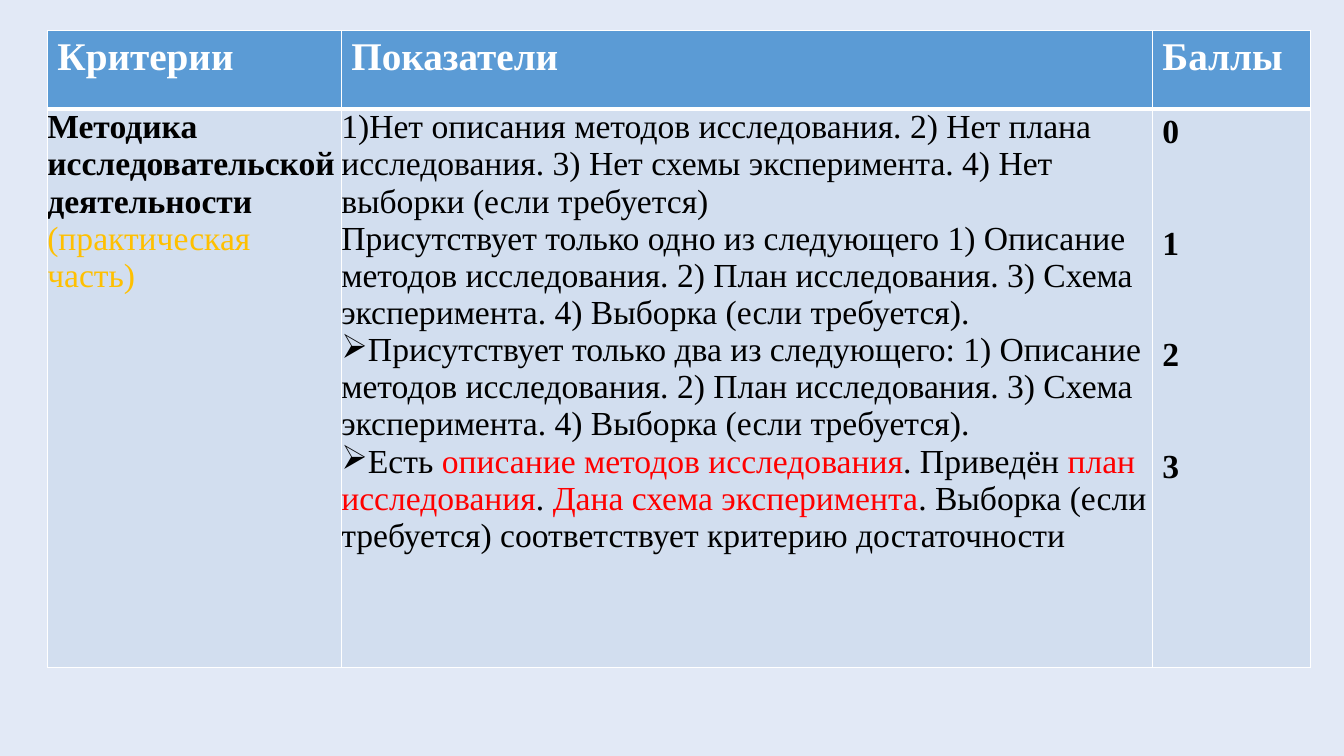
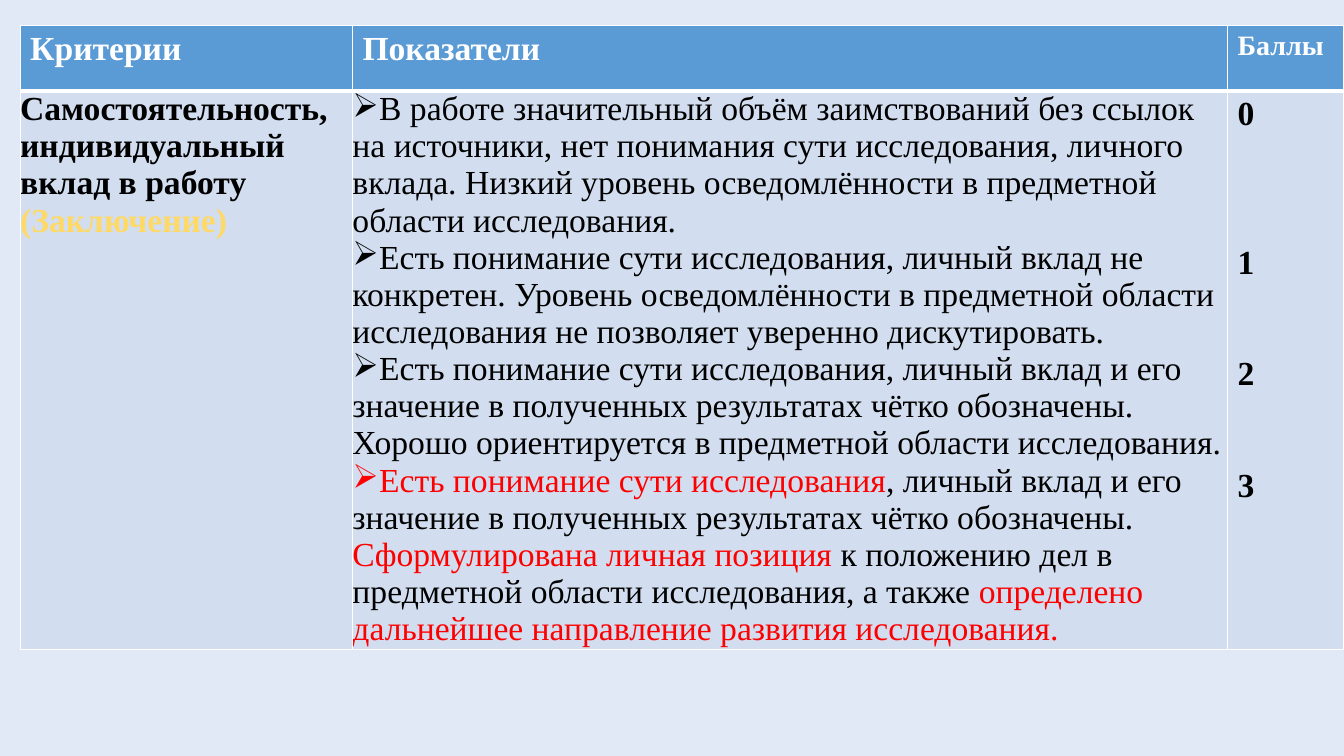
from pptx import Presentation
from pptx.dml.color import RGBColor
from pptx.enum.text import PP_ALIGN
from pptx.oxml.ns import qn
from pptx.util import Pt
from lxml.etree import SubElement

INK = {"back": "E2E9F6", "head": "5B9BD5", "body": "D2DEEF", "white": "FFFFFF",
       "black": "000000", "red": "FF0000", "gold": "FFC000", "sand": "FFD966"}
FACE = "Times New Roman"
SIZE = 24
LINE = 26.57  # height of one body line
HEADS = ["Критерии", "Показатели", "Баллы"]


def color(name):
    return RGBColor.from_string(INK[name])


def add_run(para, text, ink="black", bold=False, size=SIZE):
    run = para.add_run()
    run.text = text
    font = run.font
    font.name, font.size, font.bold = FACE, Pt(size), bold
    font.color.rgb = color(ink)


def add_mark(para):
    props = para._p.get_or_add_pPr()
    props.set("marL", "0")
    props.set("indent", "0")
    SubElement(props, qn("a:buChar"), char="➢")


def next_para(frame, index):
    return frame.add_paragraph() if index else frame.paragraphs[0]


# Cell look: white edges and a plain fill
def style(cell, fill, base=1):
    props = cell._tc.get_or_add_tcPr()
    for side in "LRTB":
        width = Pt(base if side == "B" else 1)
        edge = SubElement(props, qn(f"a:ln{side}"), w=str(width))
        paint = SubElement(edge, qn("a:solidFill"))
        SubElement(paint, qn("a:srgbClr"), val=INK["white"])
    cell.fill.solid()
    cell.fill.fore_color.rgb = color(fill)


# Text cell without margins; each paragraph is (marked, runs)
def fill_text(cell, paras):
    cell.margin_left = cell.margin_right = cell.margin_top = cell.margin_bottom = 0
    for i, (marked, runs) in enumerate(paras):
        para = next_para(cell.text_frame, i)
        if marked:
            add_mark(para)
        for run in runs:
            add_run(para, *run)


# Scores, each level with the first line of its indicator
def fill_scores(cell, gaps):
    for i, gap in enumerate([0] + gaps):
        para = next_para(cell.text_frame, i)
        para.alignment = PP_ALIGN.JUSTIFY
        para.space_before = Pt(gap * LINE)
        add_run(para, str(i), bold=True)


def add_slide(deck, box, cols, rows, sizes, topic, points, gaps):
    slide = deck.slides.add_slide(deck.slide_layouts[6])
    slide.background.fill.solid()
    slide.background.fill.fore_color.rgb = color("back")
    left, top = box
    table = slide.shapes.add_table(2, 3, Pt(left), Pt(top),
                                   Pt(sum(cols)), Pt(sum(rows))).table
    table.horz_banding = False
    for col, width in zip(table.columns, cols):
        col.width = Pt(width)
    for row, height in zip(table.rows, rows):
        row.height = Pt(height)
    # Header row
    for i, (text, size) in enumerate(zip(HEADS, sizes)):
        cell = table.cell(0, i)
        style(cell, "head", 3)
        add_run(cell.text_frame.paragraphs[0], text, "white", True, size)
    # Body row
    for i in range(3):
        style(table.cell(1, i), "body")
    fill_text(table.cell(1, 0), topic)
    fill_text(table.cell(1, 1), points)
    fill_scores(table.cell(1, 2), gaps)


deck = Presentation()
deck.slide_width, deck.slide_height = Pt(960), Pt(540)

# Slide 1: method
PLAN = ("1) Описание методов исследования. 2) План исследования. "
        "3) Схема эксперимента. 4) Выборка (если требуется).")
add_slide(
    deck, (33.8, 21.6), [210, 579.4, 112.8], [56.2, 398.9], [28, 28, 28],
    [(False, [("Методика исследовательской деятельности", "black", True)]),
     (False, [("(практическая часть)", "gold")])],
    [(False, [("1)Нет описания методов исследования. 2) Нет плана исследования. "
               "3) Нет схемы эксперимента. 4) Нет выборки (если требуется)",)]),
     (False, [("Присутствует только одно из следующего " + PLAN,)]),
     (True, [("Присутствует только два из следующего: " + PLAN,)]),
     (True, [("Есть ",), ("описание методов исследования", "red"),
             (". Приведён ",), ("план исследования", "red"), (". ",),
             ("Дана схема эксперимента", "red"),
             (". Выборка (если требуется) соответствует критерию достаточности",)])],
    [2, 2, 2])

# Slide 2: own share
SENSE = "Есть понимание сути исследования"
SHARE = ", личный вклад и его значение в полученных результатах чётко обозначены. "
add_slide(
    deck, (14.4, 18), [237.4, 625, 83], [46.8, 398.9], [24, 24, 20],
    [(False, [("Самостоятельность, индивидуальный вклад в работу", "black", True)]),
     (False, [("(Заключение)", "sand", True)])],
    [(True, [("В работе значительный объём заимствований без ссылок на источники, "
              "нет понимания сути исследования, личного вклада. Низкий уровень "
              "осведомлённости в предметной области исследования.",)]),
     (True, [(SENSE + ", личный вклад не конкретен. Уровень осведомлённости в "
              "предметной области исследования не позволяет уверенно дискутировать.",)]),
     (True, [(SENSE + SHARE + "Хорошо ориентируется в предметной области "
              "исследования.",)]),
     (True, [(SENSE, "red"), (SHARE,), ("Сформулирована личная позиция ", "red"),
             ("к положению дел в предметной области исследования, а также ",),
             ("определено дальнейшее направление развития исследования.", "red")])],
    [3, 2, 2])

deck.save("out.pptx")
